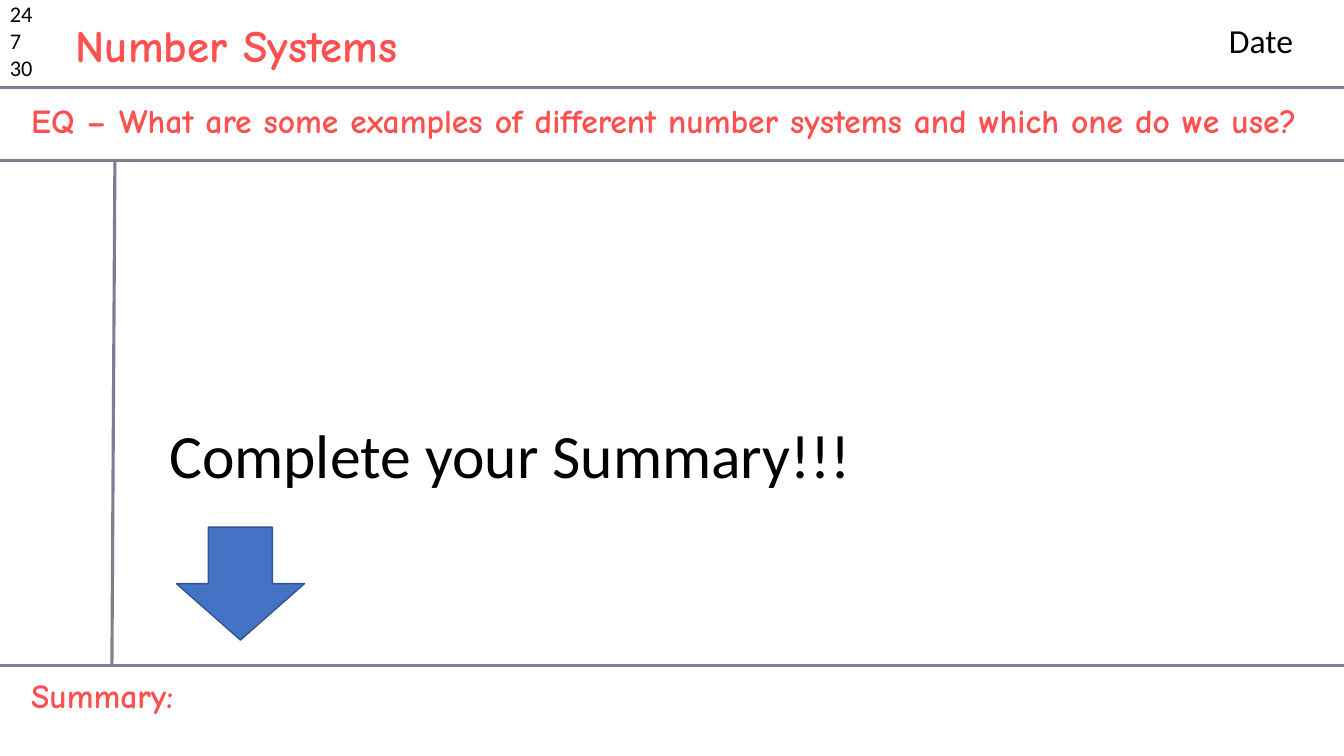
from lxml import etree
from pptx import Presentation
from pptx.dml.color import RGBColor
from pptx.enum import shapes, text
from pptx.oxml import ns
from pptx.util import Inches, Pt

WIDTH, HEIGHT = 13.33, 7.5
HEADER_Y, QUESTION_Y, SUMMARY_Y = 0.87, 1.59, 6.6
BLACK, CORAL, RULE = "000000", "FF5050", "7C7F91"
ARROW_FILL, ARROW_LINE = "4472C4", "325491"

HEADING = {"font": "Comic Neue", "color": CORAL, "bold": True}
TITLE = ("Number Systems", (0.65, 0.13, 3.45, 0.64), {"size": 32, "wrap": False, **HEADING})
TEXTS = [
    ("24\n7\n30", (0, -0.05, 0.63, 0.91), {"size": 16}),
    ("Date", (12.09, 0.15, 1.01, 0.5), {"size": 24}),
    ("EQ – What are some examples of different number systems and which one do we use?",
     (0.21, 0.94, 12.89, 0.5), {"size": 24, **HEADING}),
    ("Summary:", (0.21, 6.65, 12.89, 0.5), {"size": 24, **HEADING}),
    ("Complete your Summary!!!", (1.58, 4.09, 7.04, 0.84), {"size": 44, "wrap": False}),
]
RULES = [((0, y), (WIDTH, y)) for y in (HEADER_Y, QUESTION_Y, SUMMARY_Y)]
RULES.append(((1.14, QUESTION_Y), (1.11, SUMMARY_Y)))
ARROW = (1.75, 5.23, 1.27, 1.12)


def rgb(value):
    return RGBColor.from_string(value)


def write(box, words, size, font="Calibri", color=BLACK, bold=False, wrap=True):
    frame = box.text_frame
    frame.text = words
    frame.word_wrap = wrap
    frame.auto_size = text.MSO_AUTO_SIZE.NONE
    frame.vertical_anchor = text.MSO_ANCHOR.TOP
    for para in frame.paragraphs:
        para.alignment = text.PP_ALIGN.LEFT
        para.font.size = Pt(size)
        para.font.name = font
        para.font.bold = bold
        para.font.color.rgb = rgb(color)


def add_rule(page, start, end):
    line = page.shapes.add_connector(
        shapes.MSO_CONNECTOR.STRAIGHT, *map(Inches, start + end))
    line.line.color.rgb = rgb(RULE)
    line.line.width = Pt(2.25)
    etree.SubElement(line._element.spPr, ns.qn("a:effectLst"))


def main():
    deck = Presentation()
    deck.slide_width, deck.slide_height = Inches(WIDTH), Inches(HEIGHT)
    page = deck.slides.add_slide(deck.slide_layouts[5])

    for start, end in RULES:
        add_rule(page, start, end)

    words, place, style = TITLE
    title = page.shapes.title
    title.left, title.top, title.width, title.height = map(Inches, place)
    write(title, words, **style)

    for words, place, style in TEXTS:
        write(page.shapes.add_textbox(*map(Inches, place)), words, **style)

    arrow = page.shapes.add_shape(shapes.MSO_SHAPE.DOWN_ARROW, *map(Inches, ARROW))
    arrow.shadow.inherit = False
    arrow.fill.solid()
    arrow.fill.fore_color.rgb = rgb(ARROW_FILL)
    arrow.line.color.rgb = rgb(ARROW_LINE)
    arrow.line.width = Pt(1)

    deck.save("out.pptx")


if __name__ == "__main__":
    main()
